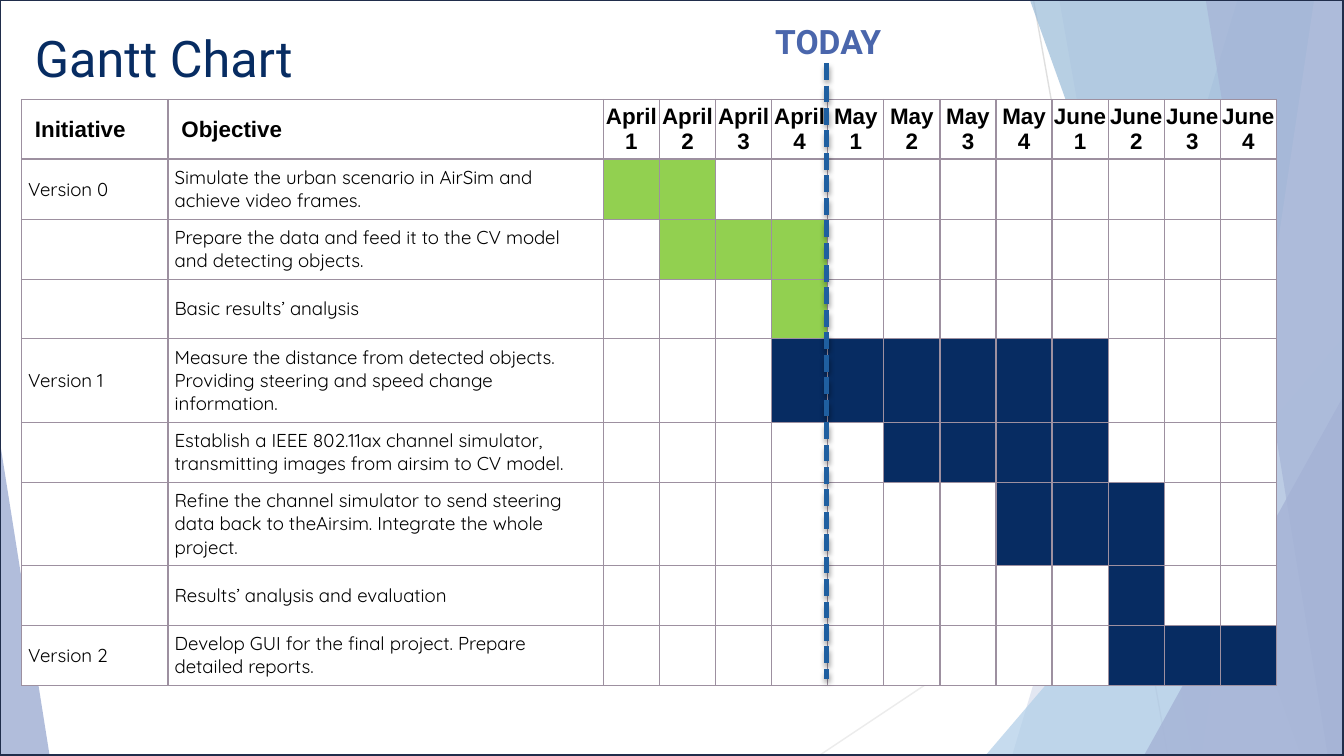
from lxml import etree
from pptx import Presentation
from pptx import util as u
from pptx.dml.color import RGBColor
from pptx.enum import dml, shapes, text
from pptx.oxml import parse_xml
from pptx.oxml.ns import nsdecls, qn

WIDTH, HEIGHT = u.Inches(10), u.Inches(5.625)
COLUMNS, ROWS = 100, 56.25  # square grid cells

WHITE = RGBColor(0xFF, 0xFF, 0xFF)
BLACK = RGBColor(0, 0, 0)
NAVY = RGBColor(0x07, 0x2C, 0x62)
GREEN = RGBColor(0x92, 0xD0, 0x50)
INDIGO = RGBColor(0x4A, 0x66, 0xAC)
SKY = RGBColor(0x62, 0x9D, 0xD1)
OCEAN = RGBColor(0x34, 0x77, 0xB2)
LAVENDER = RGBColor(0x90, 0xA2, 0xCF)
FRAME = RGBColor(0x20, 0x2D, 0x4B)
MARKER = RGBColor(0x1F, 0x5F, 0xA0)
BORDER = RGBColor(0x9D, 0x90, 0xA0)
SILVER = RGBColor(0xBF, 0xBF, 0xBF)
PALE_GREY = RGBColor(0xD9, 0xD9, 0xD9)

MONTHS = ["April", "May", "June"]
WEEKS = [f"{month} {week}" for month in MONTHS for week in range(1, 5)]

# initiative, objective, first week, last week, bar colour
TASKS = [
    ("Version 0", "Simulate the urban scenario in AirSim and achieve video frames.", 1, 2, GREEN),
    ("", "Prepare the data and feed it to the CV model and detecting objects.", 2, 4, GREEN),
    ("", "Basic results’ analysis", 4, 4, GREEN),
    ("Version 1", "Measure the distance from detected objects. Providing steering "
     "and speed change information.", 4, 9, NAVY),
    ("", "Establish a IEEE 802.11ax channel simulator, transmitting images from "
     "airsim to CV model.", 6, 9, NAVY),
    ("", "Refine the channel simulator to send steering data back to theAirsim. "
     "Integrate the whole project.", 8, 10, NAVY),
    ("", "Results’ analysis and evaluation", 10, 10, NAVY),
    ("Version 2", "Develop GUI for the final project. Prepare detailed reports.", 10, 12, NAVY),
]


def write(frame, content, font="Quicksand", size=10, color=BLACK, bold=False,
          align=text.PP_ALIGN.LEFT):
    paragraph = frame.paragraphs[0]
    paragraph.alignment = align
    run = paragraph.add_run()
    run.text = content
    run.font.name, run.font.size, run.font.bold = font, u.Pt(size), bold
    run.font.color.rgb = color


def set_insets(box, left, top, right, bottom):
    box.margin_left, box.margin_top = u.Inches(left), u.Inches(top)
    box.margin_right, box.margin_bottom = u.Inches(right), u.Inches(bottom)


class GanttSlide:
    def __init__(self, presentation):
        self.slide = presentation.slides.add_slide(presentation.slide_layouts[5])
        self.shapes = self.slide.shapes

    def x(self, columns):
        return u.Emu(round(WIDTH * columns / COLUMNS))

    def y(self, rows):
        return u.Emu(round(HEIGHT * rows / ROWS))

    def area(self, left, top, width, height):
        return self.x(left), self.y(top), self.x(width), self.y(height)

    def paint(self, shape, color, opacity):
        shape.shadow.inherit = False
        shape.line.fill.background()
        shape.fill.solid()
        shape.fill.fore_color.rgb = color
        solid = shape.fill._xPr.find(qn("a:solidFill"))
        etree.SubElement(solid[0], qn("a:alpha"), val=str(opacity * 1000))

    def band(self, top_x, bottom_x, color, opacity):
        """Slanted left edge, filled to the right edge of the slide."""
        builder = self.shapes.build_freeform(self.x(top_x), self.y(-0.1))
        corners = [(COLUMNS, -0.1), (COLUMNS, ROWS), (bottom_x, ROWS)]
        builder.add_line_segments([(self.x(x), self.y(y)) for x, y in corners])
        self.paint(builder.convert_to_shape(), color, opacity)

    def triangle(self, left, top, width, apex, color, opacity):
        """Triangle standing on the bottom edge of the slide."""
        shape = self.shapes.add_shape(shapes.MSO_SHAPE.ISOSCELES_TRIANGLE,
                                      *self.area(left, top, width, ROWS - top))
        shape.adjustments[0] = apex
        self.paint(shape, color, opacity)

    def veil(self):
        shape = self.shapes.add_shape(shapes.MSO_SHAPE.RECTANGLE, 0, 0, WIDTH, HEIGHT)
        self.paint(shape, WHITE, 50)
        shape.line.color.rgb = FRAME
        shape.line.width = u.Pt(1.5)

    def line(self, start, end, color, width):
        connector = self.shapes.add_connector(
            shapes.MSO_CONNECTOR.STRAIGHT, self.x(start[0]), self.y(start[1]),
            self.x(end[0]), self.y(end[1]))
        connector.line.color.rgb = color
        connector.line.width = u.Pt(width)
        effects = etree.SubElement(connector._element.spPr, qn("a:effectLst"))
        return connector, effects

    def today_line(self, x, top, bottom):
        connector, effects = self.line((x, top), (x, bottom), MARKER, 3)
        connector.line.dash_style = dml.MSO_LINE.SQUARE_DOT
        effects.append(parse_xml(
            f'<a:outerShdw {nsdecls("a")} blurRad="{u.Pt(3)}" dist="{u.Pt(2)}" dir="5400000" '
            'rotWithShape="0"><a:srgbClr val="000000"><a:alpha val="35000"/></a:srgbClr>'
            '</a:outerShdw>'))

    def title(self, content, left, top, width, height):
        title = self.shapes.title
        title._element.getparent().append(title._element)  # in front of the backdrop
        title.left, title.top, title.width, title.height = self.area(left, top, width, height)
        frame = title.text_frame
        frame.auto_size = text.MSO_AUTO_SIZE.NONE
        frame.vertical_anchor = text.MSO_ANCHOR.MIDDLE
        set_insets(frame, 0.1, 0.1, 0.1, 0.1)
        write(frame, content, font="Roboto", size=27, color=NAVY)

    def label(self, content, left, top, width, height):
        frame = self.shapes.add_textbox(*self.area(left, top, width, height)).text_frame
        frame.word_wrap = True
        write(frame, content, font="Roboto", size=18, color=INDIGO, bold=True)

    def cell(self, cell, content="", fill=WHITE, insets=(0.05,) * 4, **style):
        properties = cell._tc.get_or_add_tcPr()
        for side in ("lnL", "lnR", "lnT", "lnB"):
            properties.append(parse_xml(
                f'<a:{side} {nsdecls("a")} w="{u.Pt(0.75)}"><a:solidFill>'
                f'<a:srgbClr val="{BORDER}"/></a:solidFill></a:{side}>'))
        cell.fill.solid()
        cell.fill.fore_color.rgb = fill
        cell.vertical_anchor = text.MSO_ANCHOR.MIDDLE
        set_insets(cell, *insets)
        if content:
            write(cell.text_frame, content, **style)

    def gantt(self, left, top, width, height):
        table = self.shapes.add_table(len(TASKS) + 1, len(WEEKS) + 2,
                                      *self.area(left, top, width, height)).table
        label_widths = [10.9, 32.4]
        week_width = (width - sum(label_widths)) / len(WEEKS)
        for column, size in zip(table.columns, label_widths + [week_width] * len(WEEKS)):
            column.width = self.x(size)
        tall_row, tall_height = 6, 6
        for index, row in enumerate(table.rows):
            regular = (height - tall_height) / len(TASKS)
            row.height = self.y(tall_height if index == tall_row else regular)

        header = dict(font="Arial", size=12, bold=True)
        self.cell(table.cell(0, 0), "Initiative", insets=(0.1, 0.07, 0.1, 0.07), **header)
        self.cell(table.cell(0, 1), "Objective", insets=(0.1, 0, 0, 0), **header)
        for column, week in enumerate(WEEKS, 2):
            self.cell(table.cell(0, column), week, insets=(0,) * 4,
                      align=text.PP_ALIGN.CENTER, **header)
        for row, (initiative, objective, first, last, color) in enumerate(TASKS, 1):
            self.cell(table.cell(row, 0), initiative)
            self.cell(table.cell(row, 1), objective)
            for week in range(1, len(WEEKS) + 1):
                self.cell(table.cell(row, week + 1),
                          fill=color if first <= week <= last else WHITE)


def main():
    presentation = Presentation()
    presentation.slide_width, presentation.slide_height = WIDTH, HEIGHT
    page = GanttSlide(presentation)

    page.line((76.9, 0), (86.9, ROWS), SILVER, 0.75)
    page.line((COLUMNS, 30.2), (60.9, ROWS), PALE_GREY, 0.75)
    page.band(92.1, 75.3, INDIGO, 30)
    page.band(78.8, 88.7, INDIGO, 20)
    page.triangle(73.3, 25, 26.7, 1, SKY, 72)
    page.band(76.6, 96.8, OCEAN, 70)
    page.band(97.8, 89.4, LAVENDER, 70)
    page.band(89.7, 98.8, INDIGO, 65)
    page.triangle(85.1, 29.4, 14.9, 1, INDIGO, 80)
    page.triangle(0, 32.9, 3.7, 0, INDIGO, 85)
    page.veil()

    page.title("Gantt Chart", 1.6, 1.1, 72.6, 6.3)
    page.gantt(1.6, 7.4, 93.4, 41.5)
    page.today_line(61.5, 4.7, 50.5)
    page.label("TODAY", 56.7, 1.1, 11.3, 4)
    presentation.save("out.pptx")


if __name__ == "__main__":
    main()
